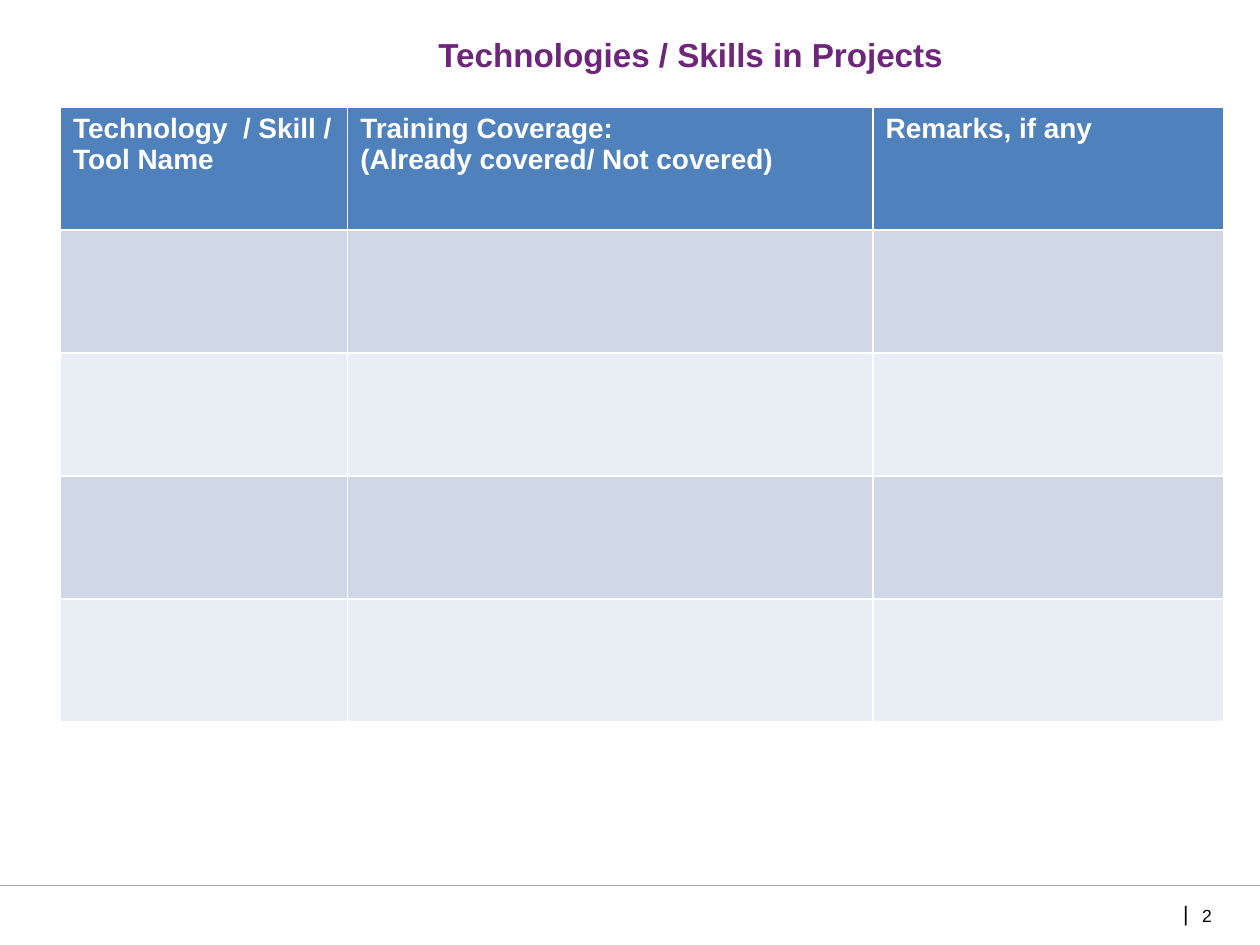
"""Build a slide with a table of project technologies and their training coverage."""
from lxml.etree import SubElement
from pptx import Presentation
from pptx.dml.color import RGBColor
from pptx.enum.shapes import MSO_CONNECTOR as Connector
from pptx.enum.text import MSO_ANCHOR as Anchor, MSO_AUTO_SIZE as AutoSize, PP_ALIGN as Align
from pptx.oxml.ns import qn
from pptx.util import Inches, Pt

COLORS = {
    "title": "6E267B",
    "header": "4F81BD",
    "band_dark": "D0D8E8",
    "band_light": "E9EDF4",
    "rule": "A6A6A6",
    "white": "FFFFFF",
    "black": "000000",
}
HEADERS = [
    "Technology  / Skill / Tool Name",
    "Training Coverage:\n(Already covered/ Not covered)",
    "Remarks, if any",
]
COLUMN_WIDTHS = [2.28, 4.17, 2.78]
ROW_COUNT = 5


def color(name):
    return RGBColor.from_string(COLORS[name])


def style_text(frame, size, color_name, bold=False, align=Align.LEFT):
    for paragraph in frame.paragraphs:
        paragraph.alignment = align
        font = paragraph.font
        font.name, font.size, font.bold = "Arial", Pt(size), bold
        font.color.rgb = color(color_name)


def clear_margins(frame):
    frame.margin_left = frame.margin_top = frame.margin_right = frame.margin_bottom = 0


def add_title(slide, left, top, width, height, indent):
    title = slide.shapes.title
    title.left, title.top = Inches(left), Inches(top)
    title.width, title.height = Inches(width), Inches(height)
    frame = title.text_frame
    frame.text = "Technologies / Skills in Projects"
    clear_margins(frame)
    frame.margin_left = Inches(indent)
    frame.vertical_anchor = Anchor.TOP
    frame.auto_size = AutoSize.NONE
    style_text(frame, 19, "title", bold=True)


def add_skills_table(slide, left, top, width, height):
    table = slide.shapes.add_table(
        ROW_COUNT, len(HEADERS), Inches(left), Inches(top), Inches(width), Inches(height)
    ).table
    for column, column_width in zip(table.columns, COLUMN_WIDTHS):
        column.width = Inches(column_width)
    for row_index, row in enumerate(table.rows):
        band = "band_dark" if row_index % 2 else "band_light"
        for cell in row.cells:
            cell.fill.solid()
            cell.fill.fore_color.rgb = color(band if row_index else "header")
    for cell, header in zip(table.rows[0].cells, HEADERS):
        cell.text = header
        style_text(cell.text_frame, 16, "white", bold=True)


def add_label(slide, text, left, top, width, height, size, align):
    box = slide.shapes.add_textbox(Inches(left), Inches(top), Inches(width), Inches(height))
    frame = box.text_frame
    frame.text = text
    frame.word_wrap = False
    frame.vertical_anchor = Anchor.MIDDLE
    clear_margins(frame)
    style_text(frame, size, "black", align=align)


def add_footer(slide, top, width):
    rule = slide.shapes.add_connector(
        Connector.STRAIGHT, 0, Inches(top), Inches(width), Inches(top)
    )
    rule.line.color.rgb = color("rule")
    rule.line.width = Pt(0.75)
    SubElement(rule.element.spPr, qn("a:effectLst"))
    add_label(slide, "|", width - 0.61, top + 0.12, 0.04, 0.2, 12, Align.RIGHT)
    add_label(slide, "2", width - 0.46, top + 0.15, 0.23, 0.17, 10, Align.LEFT)


presentation = Presentation()
presentation.slide_width, presentation.slide_height = Inches(10), Inches(7.5)
skills_slide = presentation.slides.add_slide(presentation.slide_layouts[5])
add_footer(skills_slide, 7.03, 10)
add_title(skills_slide, 0.48, 0.27, 9.35, 0.32, indent=3)
add_skills_table(skills_slide, 0.48, 0.85, sum(COLUMN_WIDTHS), 4.88)
presentation.save("out.pptx")
